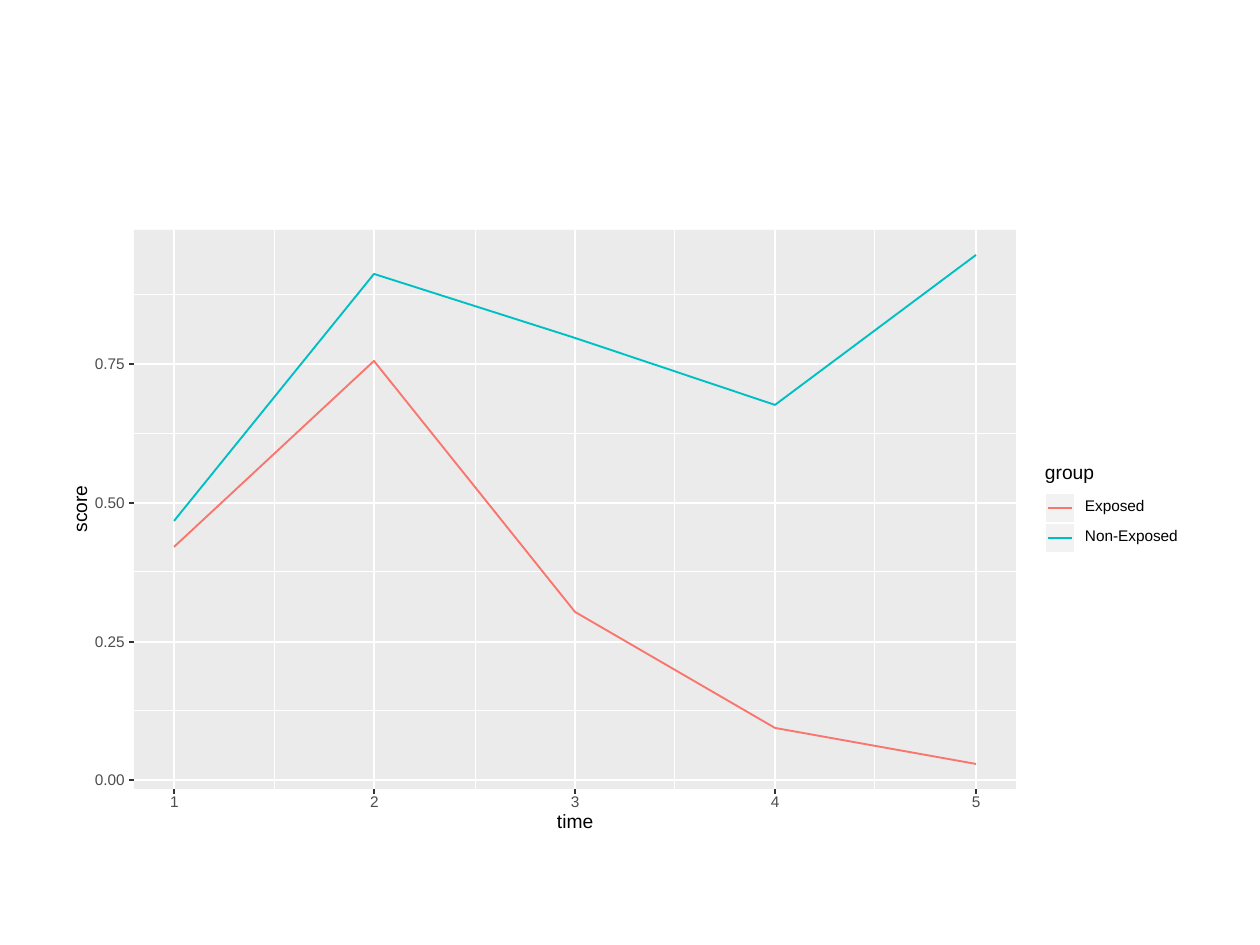
import pptx
import pptx.dml.color
import pptx.enum.shapes
import pptx.enum.text
import pptx.oxml
import pptx.util

RGB = pptx.dml.color.RGBColor
WHITE = RGB(0xFF, 0xFF, 0xFF)
BLACK = RGB(0, 0, 0)
PANEL = RGB(0xEB, 0xEB, 0xEB)
KEY = RGB(0xF2, 0xF2, 0xF2)
TICK = RGB(0x33, 0x33, 0x33)
LABEL = RGB(0x4D, 0x4D, 0x4D)
CORAL = RGB(0xF8, 0x76, 0x6D)
TEAL = RGB(0x00, 0xBF, 0xC4)

EMU = 914400 // 126  # one pixel
THICK, THIN = 1.07, 0.53
SMALL, LARGE = 8.8, 11


class Plot:
    """Draws the plot's elements in one group on the slide."""

    font = "Arial"

    def __init__(self, slide):
        self.s = slide
        self.shapes = slide.shapes.add_group_shape().shapes

    def rect(self, x, y, w, h, fill, border=None):
        sp = self.shapes.add_shape(
            pptx.enum.shapes.MSO_SHAPE.RECTANGLE, *(v * EMU for v in (x, y, w, h)))
        sp.shadow.inherit = False
        sp.fill.solid()
        sp.fill.fore_color.rgb = fill
        if border is None:
            sp.line.fill.background()
        else:
            self.stroke(sp, border, THICK)

    def stroke(self, sp, color, width):
        sp.line.color.rgb = color
        sp.line.width = pptx.util.Pt(width)

    def line(self, x1, y1, x2, y2, color, width=THICK):
        c = self.shapes.add_connector(
            pptx.enum.shapes.MSO_CONNECTOR.STRAIGHT, *(v * EMU for v in (x1, y1, x2, y2)))
        self.stroke(c, color, width)
        c._element.spPr.append(pptx.oxml.parse_xml(
            '<a:effectLst xmlns:a="http://schemas.openxmlformats.org/drawingml/2006/main"/>'))

    def polyline(self, points, color):
        fb = self.shapes.build_freeform(*points[0], scale=EMU)
        fb.add_line_segments(points[1:], close=False)
        sp = fb.convert_to_shape()
        sp.shadow.inherit = False
        sp.fill.background()
        self.stroke(sp, color, THICK)

    def text(self, x, y, w, h, words, size, color=BLACK, rotation=0):
        sp = self.shapes.add_textbox(*(v * EMU for v in (x, y, w, h)))
        sp.rotation = rotation
        tf = sp.text_frame
        tf.margin_left = tf.margin_right = tf.margin_top = tf.margin_bottom = 0
        tf.vertical_anchor = pptx.enum.text.MSO_ANCHOR.MIDDLE
        tf.word_wrap = False
        p = tf.paragraphs[0]
        p.line_spacing = pptx.util.Pt(size)
        r = p.add_run()
        r.text = words
        r.font.name = self.font
        r.font.size = pptx.util.Pt(size)
        r.font.color.rgb = color


prs = pptx.Presentation()
prs.slide_width = pptx.util.Inches(10)
prs.slide_height = pptx.util.Inches(7.5)
plot = Plot(prs.slides.add_slide(prs.slide_layouts[6]))

# Scales
LEFT, TOP, RIGHT, BOTTOM = 134, 230, 1016, 789
TIMES = range(1, 6)
SCORES = (0, 0.25, 0.5, 0.75)


def time_x(time):
    return round(174 + 200.4 * (time - 1))


def score_y(score):
    return round(780.5 - 554.7 * score)


# Background and panel
plot.rect(63, 221, 1134, 624, WHITE, WHITE)
plot.rect(LEFT, TOP, RIGHT - LEFT, BOTTOM - TOP, PANEL)

# Gridlines: minor ones halfway between the major ones
minor = ([v + 0.125 for v in SCORES], [t + 0.5 for t in TIMES[:-1]], THIN)
major = (SCORES, TIMES, THICK)
for scores, times, width in (minor, major):
    for score in scores:
        plot.line(LEFT, score_y(score), RIGHT, score_y(score), WHITE, width)
    for time in times:
        plot.line(time_x(time), BOTTOM, time_x(time), TOP, WHITE, width)

# Series, as heights at each time
SERIES = (
    ("Exposed", CORAL, (547, 361, 612, 728, 764), 62),
    ("Non-Exposed", TEAL, (521, 274, 338, 405, 255), 95),
)
for name, color, heights, width in SERIES:
    plot.polyline([(time_x(t), y) for t, y in zip(TIMES, heights)], color)

# Axis ticks and labels
for score in SCORES:
    y = score_y(score)
    plot.text(95, y - 5, 31, 11, f"{score:.2f}", SMALL, LABEL)
    plot.line(LEFT - 5, y, LEFT, y, TICK)
for time in TIMES:
    x = time_x(time)
    plot.line(x, BOTTOM + 5, x, BOTTOM, TICK)
    plot.text(x - 4, 797, 9, 11, str(time), SMALL, LABEL)

# Axis titles
plot.text(557, 816, 39, 14, "time", LARGE)
plot.text(56, 502, 51, 10, "score", LARGE, rotation=270)

# Legend
plot.rect(1036, 456, 152, 107, WHITE)
plot.text(1045, 467, 52, 14, "group", LARGE)
for i, (name, color, heights, width) in enumerate(SERIES):
    y = 493 + 30 * i
    plot.rect(1045, y, 30, 30, KEY, WHITE)
    plot.line(1048, y + 15, 1072, y + 15, color)
    plot.text(1085, y + 7, width, 14, name, SMALL)

prs.save("out.pptx")
